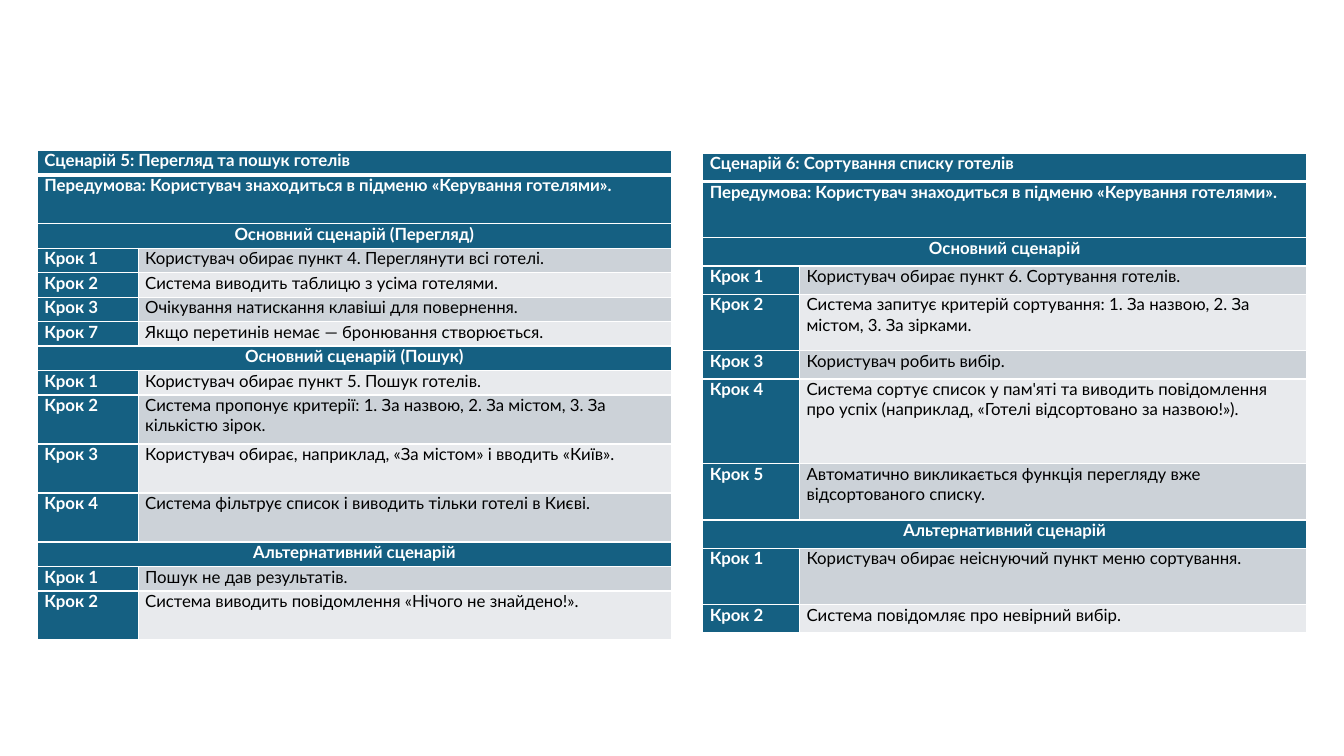
"""Build the slide with two scenario tables side by side."""
from dataclasses import dataclass
from typing import Optional

from lxml import etree
from pptx import Presentation
from pptx import util as u
from pptx.dml.color import RGBColor
from pptx.enum import text
from pptx.oxml.ns import qn


@dataclass(frozen=True)
class Theme:
    """Colours, type and line sizes of the slide."""
    font: str = "Lato"
    size: int = 12
    accent: str = "156082"
    bands: tuple[str, str] = ("E8EAED", "CCD2D8")
    light: str = "FFFFFF"
    dark: str = "000000"
    rule: int = 1
    heading_rule: int = 3
    inset: float = 0.07


@dataclass(frozen=True)
class Step:
    """A numbered step, as tall as the given number of grid rows."""
    number: int
    action: str
    rows: int = 1


@dataclass(frozen=True)
class Banner:
    """A row that spans the whole table."""
    wording: str
    rows: int = 1
    centred: bool = True


@dataclass(frozen=True)
class Scenario:
    """A table with its place in percent of the slide's size."""
    left: float
    top: float
    width: float
    height: float
    label_width: float
    entries: tuple[Step | Banner, ...]


THEME = Theme()
PRECONDITION = Banner("Передумова: Користувач знаходиться в підменю «Керування готелями».", 2, False)
ALTERNATIVE = Banner("Альтернативний сценарій")

SCENARIOS = (
    Scenario(2.78, 19.87, 47.19, 64.8, 7.5, (
        Banner("Сценарій 5: Перегляд та пошук готелів", centred=False),
        PRECONDITION,
        Banner("Основний сценарій (Перегляд)"),
        Step(1, "Користувач обирає пункт 4. Переглянути всі готелі."),
        Step(2, "Система виводить таблицю з усіма готелями."),
        Step(3, "Очікування натискання клавіші для повернення."),
        Step(7, "Якщо перетинів немає — бронювання створюється."),
        Banner("Основний сценарій (Пошук)"),
        Step(1, "Користувач обирає пункт 5. Пошук готелів."),
        Step(2, "Система пропонує критерії: 1. За назвою, 2. За містом, 3. За кількістю зірок.", 2),
        Step(3, "Користувач обирає, наприклад, «За містом» і вводить «Київ».", 2),
        Step(4, "Система фільтрує список і виводить тільки готелі в Києві.", 2),
        ALTERNATIVE,
        Step(1, "Пошук не дав результатів."),
        Step(2, "Система виводить повідомлення «Нічого не знайдено!».", 2),
    )),
    Scenario(52.29, 20.27, 44.94, 63.47, 7.2, (
        Banner("Сценарій 6: Сортування списку готелів", centred=False),
        PRECONDITION,
        Banner("Основний сценарій"),
        Step(1, "Користувач обирає пункт 6. Сортування готелів."),
        Step(2, "Система запитує критерій сортування: 1. За назвою, 2. За містом, 3. За зірками.", 2),
        Step(3, "Користувач робить вибір."),
        Step(4, "Система сортує список у пам'яті та виводить повідомлення про успіх "
                "(наприклад, «Готелі відсортовано за назвою!»).", 3),
        Step(5, "Автоматично викликається функція перегляду вже відсортованого списку.", 2),
        ALTERNATIVE,
        Step(1, "Користувач обирає неіснуючий пункт меню сортування.", 2),
        Step(2, "Система повідомляє про невірний вибір."),
    )),
)


def rule_cell(cell, heading: bool) -> None:
    """Draw the cell's borders, with a heavy rule below the heading."""
    widths = {"a:lnL": THEME.rule, "a:lnR": THEME.rule}
    if heading:
        widths["a:lnT"] = THEME.rule
    widths["a:lnB"] = THEME.heading_rule if heading else THEME.rule
    properties = cell._tc.get_or_add_tcPr()
    for side, width in widths.items():
        border = etree.SubElement(properties, qn(side), w=str(u.Pt(width)))
        solid = etree.SubElement(border, qn("a:solidFill"))
        etree.SubElement(solid, qn("a:srgbClr"), val=THEME.light)


def style_cell(cell, fill: str, heading: bool) -> None:
    """Give the cell its borders, fill and margins."""
    rule_cell(cell, heading)
    cell.fill.solid()
    cell.fill.fore_color.rgb = RGBColor.from_string(fill)
    cell.margin_left = cell.margin_right = u.Inches(THEME.inset)
    cell.margin_top = cell.margin_bottom = 0


def write_cell(cell, wording: str, colour: str, bold: bool,
               align: Optional[text.PP_ALIGN] = None) -> None:
    """Write one run of text into the cell."""
    paragraph = cell.text_frame.paragraphs[0]
    paragraph.alignment = align
    run = paragraph.add_run()
    run.text = wording
    run.font.name = THEME.font
    run.font.size = u.Pt(THEME.size)
    run.font.bold = bold
    run.font.color.rgb = RGBColor.from_string(colour)


def draw_scenario(slide, scenario: Scenario, across: int, down: int) -> None:
    """Draw one scenario table on a slide of the given size."""
    left, width, label_width = (
        round(across * share / 100)
        for share in (scenario.left, scenario.width, scenario.label_width))
    top, height = (round(down * share / 100) for share in (scenario.top, scenario.height))
    grid_row = height / sum(entry.rows for entry in scenario.entries)
    table = slide.shapes.add_table(len(scenario.entries), 2, left, top, width, height).table
    table.first_row = table.horz_banding = False
    table.columns[0].width = label_width
    table.columns[1].width = width - label_width

    for index, entry in enumerate(scenario.entries):
        table.rows[index].height = round(grid_row * entry.rows)
        label, action = table.cell(index, 0), table.cell(index, 1)
        is_step = isinstance(entry, Step)
        style_cell(label, THEME.accent, index == 0)
        style_cell(action, THEME.bands[index % 2] if is_step else THEME.accent, index == 0)
        if is_step:
            write_cell(label, f"Крок {entry.number}", THEME.light, True)
            write_cell(action, entry.action, THEME.dark, False)
        else:
            label.merge(action)
            align = text.PP_ALIGN.CENTER if entry.centred else None
            write_cell(label, entry.wording, THEME.light, True, align)


def main() -> None:
    """Build and save the presentation."""
    deck = Presentation()
    deck.slide_width, deck.slide_height = u.Inches(13.33), u.Inches(7.5)
    slide = deck.slides.add_slide(deck.slide_layouts[6])
    for scenario in SCENARIOS:
        draw_scenario(slide, scenario, deck.slide_width, deck.slide_height)
    deck.save("out.pptx")


if __name__ == "__main__":
    main()
